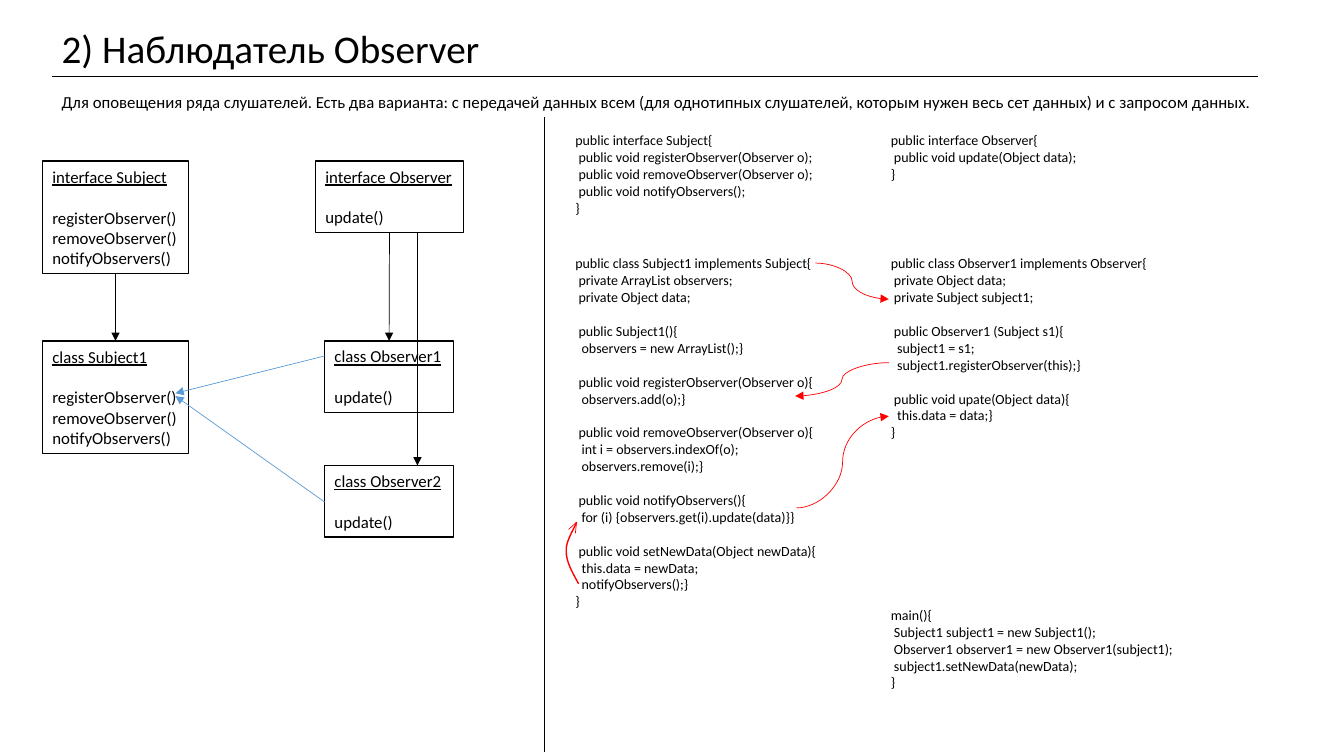
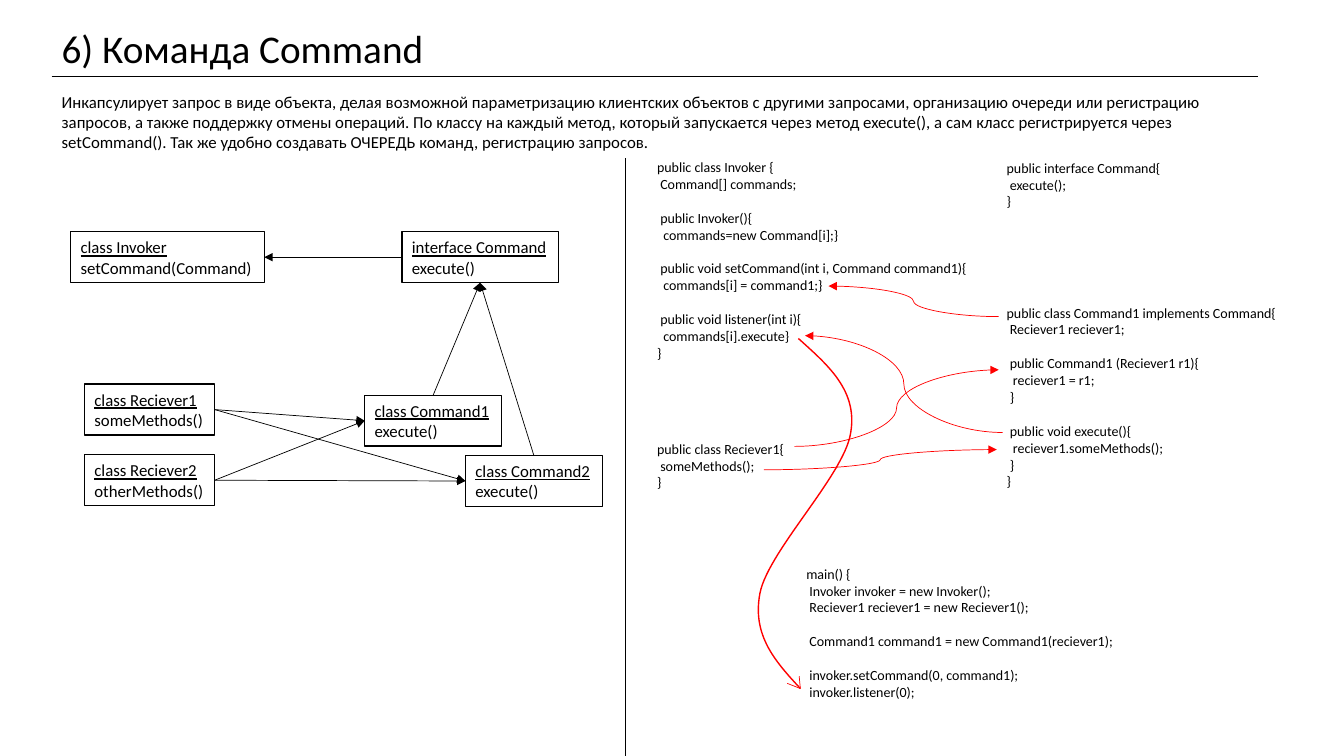
from lxml import etree
from pptx import Presentation
from pptx import util as u
from pptx.dml.color import RGBColor
from pptx.enum import shapes, text
from pptx.oxml import ns

Cm, Pt = u.Cm, u.Pt
FONT = "Calibri"
COLORS = {"ink": "000000", "paper": "FFFFFF", "flow": "FF0000", "link": "5B9BD5"}
LINE_HEIGHT = 1.22      # line pitch, in font sizes
SPACE_WIDTH = 0.226     # width of one space, in font sizes
TOP, LEFT, BOTTOM, RIGHT = range(4)   # connection sites of a rectangle

# Content; lengths in centimetres
# boxes: name -> (left, top, width, text)
# code: (left, top, width, text)
# links: (box, site, box, site); arrows and curves: (x1, y1, x2, y2)
# sweep: points of joined Bezier curves; barbs: ends of its arrowhead strokes
SUBJECT_METHODS = "\n\nregisterObserver()\nremoveObserver()\nnotifyObservers()"

SLIDES = [
    {
        "title": "2) Наблюдатель Observer",
        "summary": "Для оповещения ряда слушателей. Есть два варианта: с передачей данных всем "
                   "(для однотипных слушателей, которым нужен весь сет данных) и с запросом данных.",
        "divider": (13.72, 2.95, 13.72, 18.95),
        "boxes": {
            "Subject": (1.07, 4.06, 3.68, "interface Subject" + SUBJECT_METHODS),
            "Subject1": (1.07, 8.59, 3.68, "class Subject1" + SUBJECT_METHODS),
            "Observer": (7.95, 4.06, 3.73, "interface Observer\n\nupdate()"),
            "Observer1": (8.18, 8.59, 3.25, "class Observer1\n\nupdate()"),
            "Observer2": (8.18, 11.73, 3.25, "class Observer2\n\nupdate()"),
        },
        "links": [
            ("Subject", BOTTOM, "Subject1", TOP),
            ("Observer", BOTTOM, "Observer1", TOP),
        ],
        "arrows": [
            (10.52, 5.87, 10.52, 11.73, "ink"),
            (8.18, 8.97, 4.42, 9.91, "link"),
            (8.18, 12.65, 4.42, 9.98, "link"),
        ],
        "curves": [
            (20.55, 6.63, 22.4, 7.54),
            (22.4, 9.14, 20.04, 9.98),
            (20.07, 12.8, 22.4, 10.49),
        ],
        "sweep": [(14.58, 14.71), (14.43, 14.43), (14.27, 14.17), (14.27, 13.89),
                  (14.25, 13.64), (14.48, 13.31), (14.53, 13.16)],
        "barbs": [(14.33, 13.34), (14.5, 13.44)],
        "code": [
            (14.25, 3.2, 6.58, """public interface Subject{
 public void registerObserver(Observer o);
 public void removeObserver(Observer o);
 public void notifyObservers();
}"""),
            (22.2, 3.2, 5.26, """public interface Observer{
 public void update(Object data);
}"""),
            (14.25, 6.3, 6.68, """public class Subject1 implements Subject{
 private ArrayList observers;
 private Object data;

 public Subject1(){
  observers = new ArrayList();}

 public void registerObserver(Observer o){
  observers.add(o);}

 public void removeObserver(Observer o){
  int i = observers.indexOf(o);
  observers.remove(i);}

 public void notifyObservers(){
  for (i) {observers.get(i).update(data)}}

 public void setNewData(Object newData){
  this.data = newData;
  notifyObservers();}
}"""),
            (22.2, 6.3, 7.06, """public class Observer1 implements Observer{
 private Object data;
 private Subject subject1;

 public Observer1 (Subject s1){
  subject1 = s1;
  subject1.registerObserver(this);}

 public void upate(Object data){
  this.data = data;}
}"""),
            (22.2, 15.16, 7.72, """main(){
 Subject1 subject1 = new Subject1();
 Observer1 observer1 = new Observer1(subject1);
 subject1.setNewData(newData);
}"""),
        ],
    },
    {
        "title": "6) Команда Command",
        "summary": "Инкапсулирует запрос в виде объекта, делая возможной параметризацию клиентских "
                   "объектов с другими запросами, организацию очереди или регистрацию запросов, а "
                   "также поддержку отмены операций. По классу на каждый метод, который запускается "
                   "через метод execute(), а сам класс регистрируется через setCommand(). Так же "
                   "удобно создавать ОЧЕРЕДЬ команд, регистрацию запросов.",
        "divider": (15.77, 3.99, 15.77, 19.05),
        "boxes": {
            "Invoker": (1.78, 5.84, 4.88, "class Invoker\nsetCommand(Command)"),
            "Reciever1": (2.13, 9.68, 3.28, "class Reciever1\nsomeMethods()"),
            "Reciever2": (2.13, 11.46, 3.28, "class Reciever2\notherMethods()"),
            "Command": (10.13, 5.84, 3.94, "interface Command\nexecute()"),
            "Command1": (9.19, 9.96, 3.45, "class Command1\nexecute()"),
            "Command2": (11.73, 11.48, 3.45, "class Command2\nexecute()"),
        },
        "links": [
            ("Command1", TOP, "Command", BOTTOM),
            ("Command2", TOP, "Command", BOTTOM),
            ("Command", LEFT, "Invoker", RIGHT),
        ] + [
            (reciever, RIGHT, command, LEFT)
            for reciever in ("Reciever1", "Reciever2")
            for command in ("Command1", "Command2")
        ],
        "arrows": [],
        "curves": [
            (20.02, 11.25, 25.17, 9.32),
            (19.25, 11.84, 25.12, 11.33),
            (25.17, 7.98, 20.88, 7.21),
            (25.27, 10.9, 20.29, 8.46),
        ],
        "sweep": [(20.12, 8.53), (20.85, 9.19), (21.62, 9.83), (21.44, 10.9),
                  (21.29, 11.96), (19.35, 13.89), (19.15, 14.96),
                  (18.95, 16.03), (19.56, 16.69), (20.17, 17.35)],
        "barbs": [(19.84, 17.22), (20.14, 17.04)],
        "code": [
            (25.12, 3.89, 4.45, """public interface Command{
 execute();
}"""),
            (16.31, 3.87, 8.41, """public class Invoker {
 Command[] commands;

 public Invoker(){
  commands=new Command[i];}

 public void setCommand(int i, Command command1){
  commands[i] = command1;}

 public void listener(int i){
  commands[i].execute}
}"""),
            (25.12, 7.54, 7.39, """public class Command1 implements Command{
 Reciever1 reciever1;

 public Command1 (Reciever1 r1){
  reciever1 = r1;
 }

 public void execute(){
  reciever1.someMethods();
 }
}"""),
            (20.07, 14.12, 8.36, """main() {
 Invoker invoker = new Invoker();
 Reciever1 reciever1 = new Reciever1();

 Command1 command1 = new Command1(reciever1);

 invoker.setCommand(0, command1);
 invoker.listener(0);"""),
            (16.31, 10.97, 3.76, """public class Reciever1{
 someMethods();
}"""),
        ],
    },
]


def color(name):
    return RGBColor.from_string(COLORS[name])


# Text: a blank line becomes space before, leading spaces become an indent
def write(frame, content, size, underline_first=False):
    gap = 0
    paragraph = None
    for line in content.split("\n"):
        if not line:
            gap += size * LINE_HEIGHT
            continue
        first = paragraph is None
        paragraph = frame.paragraphs[0] if first else frame.add_paragraph()
        paragraph.alignment = text.PP_ALIGN.LEFT
        paragraph.space_before = Pt(gap)
        gap = 0
        words = line.lstrip()
        indent = Pt((len(line) - len(words)) * SPACE_WIDTH * size)
        properties = paragraph._p.get_or_add_pPr()
        properties.set("marL", str(int(indent)))
        properties.set("indent", "0")
        etree.SubElement(properties, ns.qn("a:buNone"))
        run = paragraph.add_run()
        run.text = words
        run.font.name, run.font.size = FONT, Pt(size)
        run.font.color.rgb = color("ink")
        if underline_first and first:
            run.font.underline = True


def fill_placeholder(shape, top, height, content, size):
    shape.left, shape.top, shape.width, shape.height = Cm(1.3), Cm(top), Cm(30.66), Cm(height)
    frame = shape.text_frame
    frame.auto_size = text.MSO_AUTO_SIZE.NONE
    frame.vertical_anchor = text.MSO_ANCHOR.TOP
    write(frame, content, size)


def fit(frame):
    frame.word_wrap = False
    frame.auto_size = text.MSO_AUTO_SIZE.SHAPE_TO_FIT_TEXT


def text_area(left, top, width, content, size):
    lines = content.count("\n") + 1
    height = Cm(0.25) + Pt(lines * size * LINE_HEIGHT)
    return Cm(left), Cm(top), Cm(width), height


def add_box(slide, left, top, width, content):
    box = slide.shapes.add_shape(shapes.MSO_SHAPE.RECTANGLE,
                                 *text_area(left, top, width, content, 12))
    box.shadow.inherit = False
    box.fill.solid()
    box.fill.fore_color.rgb = color("paper")
    box.line.color.rgb = color("ink")
    box.line.width = Pt(1)
    fit(box.text_frame)
    write(box.text_frame, content, 12, underline_first=True)
    return box


def add_code(slide, left, top, width, content):
    frame = slide.shapes.add_textbox(*text_area(left, top, width, content, 10)).text_frame
    fit(frame)
    write(frame, content, 10)


# Lines
def add_line(slide, ends, line_color="ink", arrow=False, kind=shapes.MSO_CONNECTOR.STRAIGHT):
    connector = slide.shapes.add_connector(kind, *map(Cm, ends))
    connector.line.color.rgb = color(line_color)
    connector.line.width = Pt(0.5)
    properties = connector._element.spPr
    if arrow:
        etree.SubElement(properties.find(ns.qn("a:ln")), ns.qn("a:tailEnd"), type="triangle")
    etree.SubElement(properties, ns.qn("a:effectLst"))
    return connector


def bezier(start, control1, control2, end, t):
    s = 1 - t
    weights = (s ** 3, 3 * s * s * t, 3 * s * t * t, t ** 3)
    points = (start, control1, control2, end)
    return tuple(Cm(sum(w * p[axis] for w, p in zip(weights, points))) for axis in (0, 1))


def add_sweep(slide, points, barbs, steps=30):
    builder = slide.shapes.build_freeform(*map(Cm, points[0]))
    builder.add_line_segments(
        [bezier(*points[i:i + 4], step / steps)
         for i in range(0, len(points) - 1, 3) for step in range(1, steps + 1)],
        close=False)
    sweep = builder.convert_to_shape()
    sweep.shadow.inherit = False
    sweep.fill.background()
    sweep.line.color.rgb = color("flow")
    sweep.line.width = Pt(1)
    for barb in barbs:
        add_line(slide, points[-1] + barb, "flow")


def build_slide(presentation, content):
    slide = presentation.slides.add_slide(presentation.slide_layouts[1])
    # Heading
    fill_placeholder(slide.shapes.title, 0.48, 1.45, content["title"], 28)
    fill_placeholder(slide.placeholders[1], 2.18, 1.8, content["summary"], 12)
    add_line(slide, (1.3, 1.93, 31.7, 1.93))
    add_line(slide, content["divider"])
    # Class diagram
    boxes = {name: add_box(slide, *box) for name, box in content["boxes"].items()}
    for source, source_site, target, target_site in content["links"]:
        connector = add_line(slide, (0, 0, 0, 0), arrow=True)
        connector.begin_connect(boxes[source], source_site)
        connector.end_connect(boxes[target], target_site)
    for *ends, line_color in content["arrows"]:
        add_line(slide, ends, line_color, arrow=True)
    # Code and its call flow
    for code in content["code"]:
        add_code(slide, *code)
    for ends in content["curves"]:
        add_line(slide, ends, "flow", arrow=True, kind=shapes.MSO_CONNECTOR.CURVE)
    add_sweep(slide, content["sweep"], content["barbs"])


def main():
    presentation = Presentation()
    presentation.slide_width, presentation.slide_height = Cm(33.87), Cm(19.05)
    for content in SLIDES:
        build_slide(presentation, content)
    presentation.save("out.pptx")


if __name__ == "__main__":
    main()
